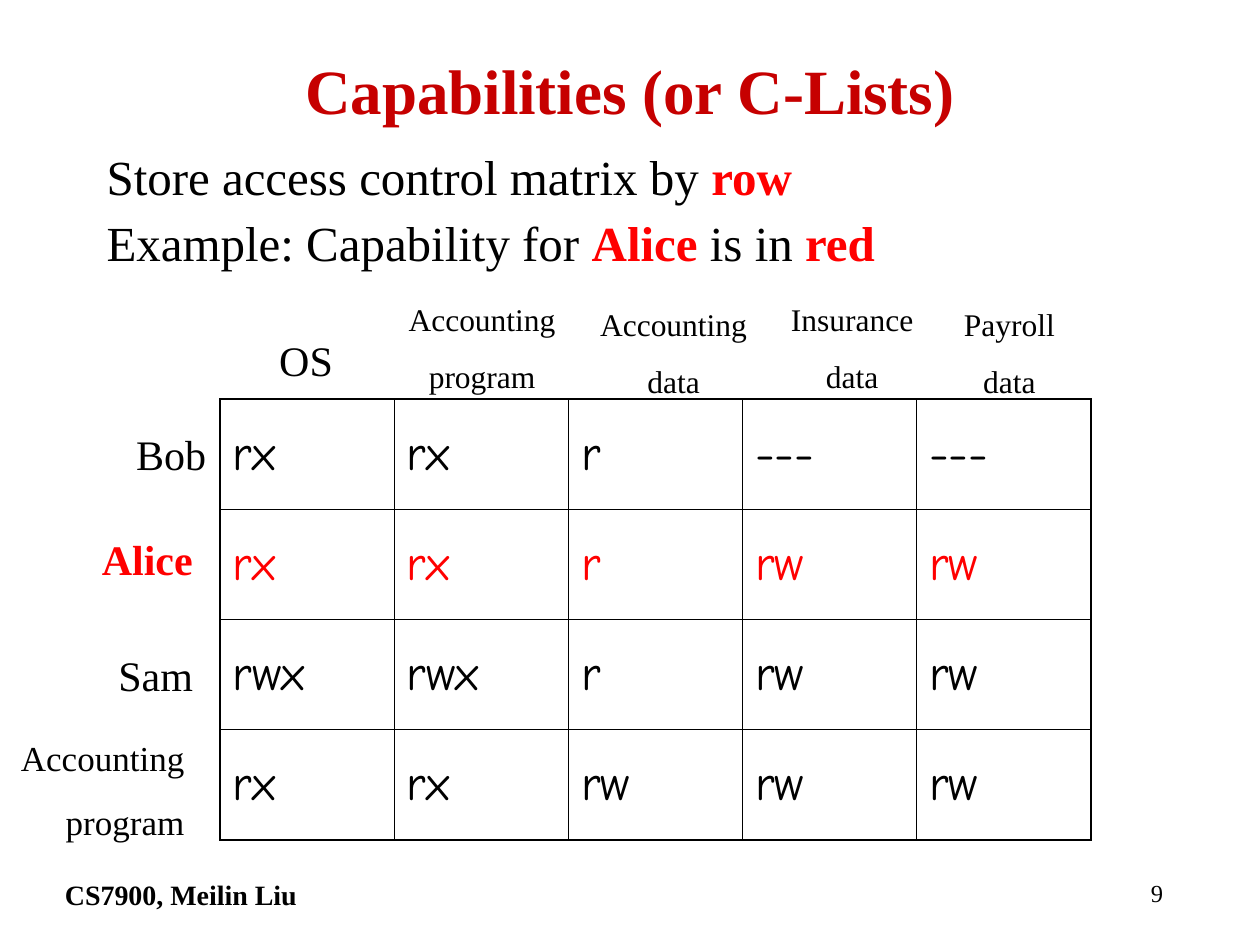
from dataclasses import dataclass

from lxml.etree import SubElement
from pptx import Presentation
from pptx.dml.color import RGBColor
from pptx.enum.text import MSO_ANCHOR, MSO_AUTO_SIZE, PP_ALIGN
from pptx.oxml.ns import qn
from pptx.util import Cm, Pt


@dataclass(frozen=True)
class Theme:
    black: str = "000000"
    red: str = "FF0000"
    title_red: str = "C60000"
    serif: str = "Times New Roman"
    matrix_font: str = "Comic Neue"
    title: int = 36
    body: int = 28
    name: int = 24
    long_name: int = 20
    object_name: int = 18
    footer: int = 16
    number: int = 14
    outer_line: float = 1.08
    inner_line: float = 0.45


THEME = Theme()


@dataclass(frozen=True)
class Span:
    text: str
    color: str = THEME.black
    bold: bool = False


@dataclass(frozen=True)
class TextBlock:
    lines: list[list[Span]]
    left: float
    top: float
    width: float
    height: float
    size: int
    align: PP_ALIGN = PP_ALIGN.CENTER
    anchor: MSO_ANCHOR = MSO_ANCHOR.TOP
    wrap: bool = False
    space_before: float = 0
    line_spacing: float = 1.0


def add_span(para, text: str, *, size: int, color: str = THEME.black,
             bold: bool = False, font: str = THEME.serif) -> None:
    span = para.add_run()
    span.text = text
    span.font.size = Pt(size)
    span.font.name = font
    span.font.bold = bold
    span.font.color.rgb = RGBColor.from_string(color)


def draw_text(page, block: TextBlock) -> None:
    box = page.shapes.add_textbox(Cm(block.left), Cm(block.top),
                                  Cm(block.width), Cm(block.height))
    frame = box.text_frame
    frame.word_wrap = block.wrap
    frame.auto_size = MSO_AUTO_SIZE.NONE
    frame.vertical_anchor = block.anchor
    for index, line in enumerate(block.lines):
        para = frame.add_paragraph() if index else frame.paragraphs[0]
        para.alignment = block.align
        para.line_spacing = block.line_spacing
        if index:
            para.space_before = Pt(block.space_before)
        for span in line:
            add_span(para, span.text, size=block.size, color=span.color, bold=span.bold)


def add_border(cell, side: str, width: float) -> None:
    line = SubElement(cell._tc.get_or_add_tcPr(), qn(f"a:ln{side}"), w=str(Pt(width)))
    fill = SubElement(line, qn("a:solidFill"))
    SubElement(fill, qn("a:srgbClr"), val=THEME.black)


def draw_matrix(page, rights: list[list[str]], red_row: int) -> None:
    rows, columns = len(rights), len(rights[0])
    column_width, row_height = Cm(3.51), Cm(2.22)
    table = page.shapes.add_table(rows, columns, Cm(4.44), Cm(8.05),
                                  column_width * columns, row_height * rows).table
    table.first_row = table.horz_banding = False
    for column in table.columns:
        column.width = column_width
    for row_index, row in enumerate(rights):
        table.rows[row_index].height = row_height
        for column_index, right in enumerate(row):
            cell = table.cell(row_index, column_index)
            cell.vertical_anchor = MSO_ANCHOR.MIDDLE
            # Heavier lines only around the outside
            outer_sides = {"L": column_index == 0, "R": column_index == columns - 1,
                           "T": row_index == 0, "B": row_index == rows - 1}
            for side, outer in outer_sides.items():
                add_border(cell, side, THEME.outer_line if outer else THEME.inner_line)
            cell.fill.background()
            add_span(cell.text_frame.paragraphs[0], right, size=THEME.body,
                     color=THEME.red if row_index == red_row else THEME.black,
                     font=THEME.matrix_font)


HEADINGS = [
    TextBlock([[Span("Capabilities (or C-Lists)", THEME.title_red, True)]],
              1.9, 0.43, 21.6, 2.74, THEME.title, anchor=MSO_ANCHOR.MIDDLE, wrap=True),
    TextBlock([[Span("Store access control matrix by "), Span("row", THEME.red, True)],
               [Span("Example: Capability for "), Span("Alice", THEME.red, True),
                Span(" is in "), Span("red", THEME.red, True)]],
              1.9, 2.97, 21.6, 3.18, THEME.body, PP_ALIGN.LEFT, wrap=True,
              space_before=7, line_spacing=0.9),
]

# Object names above the columns: two words, left, top, width
OBJECTS = [
    ("Accounting", "program", 7.92, 5.92, 3.6),
    ("Accounting", "data", 11.78, 6.02, 3.6),
    ("Insurance", "data", 15.63, 5.92, 3.1),
    ("Payroll", "data", 19.1, 6.02, 2.5),
]
COLUMN_LABELS = [TextBlock([[Span("OS")]], 5.27, 6.62, 1.8, 1.27, THEME.name)] + [
    TextBlock([[Span(first)], [Span(second)]], left, top, width, 2.18,
              THEME.object_name, space_before=11.2)
    for first, second, left, top, width in OBJECTS
]

# Subject names beside the rows
ROW_LABELS = [
    TextBlock([[Span("Bob")]], 2.4, 8.51, 2.1, 1.27, THEME.name),
    TextBlock([[Span("Alice", THEME.red, True)]], 1.72, 10.63, 2.5, 1.27, THEME.name),
    TextBlock([[Span("Sam")]], 2.04, 12.97, 2.2, 1.27, THEME.name),
    TextBlock([[Span("Accounting")], [Span("program")]], 0.07, 14.72, 3.9, 2.39,
              THEME.long_name, PP_ALIGN.RIGHT, space_before=12.5),
]

FOOTER = [
    TextBlock([[Span("CS7900, Meilin Liu", bold=True)]], 1.06, 17.57, 16.08, 1.07,
              THEME.footer, PP_ALIGN.LEFT, wrap=True),
    TextBlock([[Span("9")]], 18.42, 17.57, 5.28, 1.07,
              THEME.number, PP_ALIGN.RIGHT, wrap=True),
]

RIGHTS = [
    ["rx", "rx", "r", "---", "---"],
    ["rx", "rx", "r", "rw", "rw"],
    ["rwx", "rwx", "r", "rw", "rw"],
    ["rx", "rx", "rw", "rw", "rw"],
]


def main() -> None:
    deck = Presentation()
    deck.slide_width, deck.slide_height = Cm(25.4), Cm(19.05)
    page = deck.slides.add_slide(deck.slide_layouts[6])

    # Title and body, then the matrix, then its labels and the footer
    for block in HEADINGS:
        draw_text(page, block)
    draw_matrix(page, RIGHTS, red_row=1)
    for block in COLUMN_LABELS + ROW_LABELS + FOOTER:
        draw_text(page, block)

    deck.save("out.pptx")


if __name__ == "__main__":
    main()
